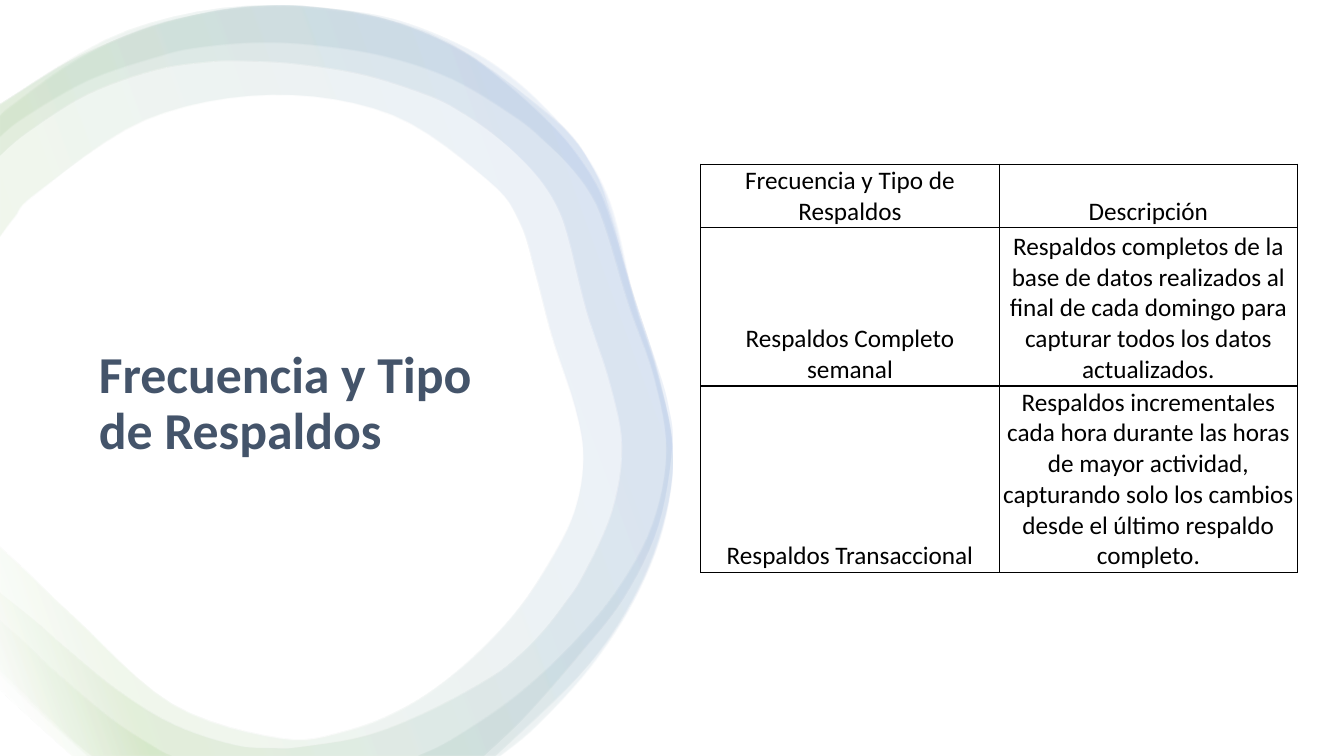
from lxml import etree
from pptx import Presentation
from pptx import util as u
from pptx.dml.color import RGBColor
from pptx.enum import shapes, text
from pptx.oxml import parse_xml
from pptx.oxml.ns import nsdecls, qn

WHITE = RGBColor(0xFF, 0xFF, 0xFF)
BLACK = RGBColor(0, 0, 0)
SLATE = RGBColor(0x44, 0x54, 0x6A)
GREEN = RGBColor(0x70, 0xAD, 0x47)
BLUE = RGBColor(0x44, 0x72, 0xC4)
FONT = "Calibri"
BAND_STOPS = [(2, WHITE), (16, GREEN), (85, BLUE), (100, WHITE)]
BAND_ALPHA = 10

# Each band is a list of contours, each contour a list of smooth edges (inches)
THIN_BAND = [[
    [(0, 1.04), (0.69, 0.61), (1.41, 0.3), (1.99, 0.14), (2.38, 0.08), (2.98, 0.06),
     (3.78, 0.18), (4.53, 0.48), (5.02, 0.83), (5.46, 1.23), (5.72, 1.53), (5.94, 1.88),
     (6.08, 2.25), (6.29, 2.95), (6.52, 3.63), (6.63, 4.02), (6.67, 4.43), (6.53, 5.22),
     (6.19, 5.93), (5.71, 6.54), (5.2, 7.12), (4.8, 7.5)],
    [(0.73, 7.5), (0.67, 7.46), (0.09, 6.93), (0, 6.84)],
    [(0, 5.88), (0.35, 6.16), (0.62, 6.4), (1.17, 6.85), (1.73, 7.19), (2.33, 7.39),
     (2.72, 7.42), (2.97, 7.41), (3.62, 7.3), (4.24, 7.06), (4.85, 6.73), (5.13, 6.52),
     (5.38, 6.27), (5.6, 5.99), (5.79, 5.7), (6.07, 5.08), (6.17, 4.43), (6.05, 3.8),
     (5.82, 3.09), (5.64, 2.37), (5.53, 2.06), (5.36, 1.79), (5.13, 1.54), (4.86, 1.31),
     (4.58, 1.12), (4.27, 0.96), (3.62, 0.75), (2.94, 0.64), (2.41, 0.61), (2.06, 0.62),
     (1.54, 0.7), (0.87, 0.94), (0.27, 1.32), (0, 1.55)],
]]
WIDE_BAND = [[
    [(0, 1.05), (0.05, 1.01), (1.27, 0.31), (2.69, 0.06), (4.23, 0.33), (5.47, 1.17),
     (5.88, 1.68), (6.07, 2.18), (6.24, 2.81), (6.53, 3.74), (6.67, 4.57), (6.52, 5.37),
     (6.19, 6.09), (5.73, 6.71), (4.96, 7.45), (4.89, 7.5)],
    [(0.92, 7.5), (0.68, 7.3), (0.1, 6.74), (0, 6.64)],
    [(0, 5.42), (0.27, 5.67), (0.73, 6.11), (1.71, 6.98), (2.78, 7.32), (3.42, 7.25),
     (4.02, 7.01), (4.56, 6.63), (5.07, 6.12), (5.43, 5.6), (5.69, 5.08), (5.78, 4.55),
     (5.7, 4.05), (5.47, 3.34), (5.31, 2.73), (5.15, 2.21), (4.84, 1.8), (3.89, 1.15),
     (2.69, 0.95), (1.44, 1.2), (0.37, 1.92), (0.15, 2.16), (0, 2.36)],
]]
OUTER_BAND = [
    [[(0, 6.15), (0.27, 6.39), (0.54, 6.65), (1.11, 7.13), (1.57, 7.43), (1.71, 7.5)],
     [(0.89, 7.5), (0.84, 7.47), (0.26, 6.94), (0, 6.68)]],
    [[(0, 1.16), (0.14, 1.04), (0.78, 0.59), (1.51, 0.26), (2.29, 0.09), (2.69, 0.06),
      (3.09, 0.07), (3.89, 0.19), (4.64, 0.49), (5.14, 0.83), (5.56, 1.24), (5.81, 1.55),
      (6, 1.9), (6.12, 2.27), (6.29, 3.01), (6.52, 3.73), (6.67, 4.48), (6.57, 5.24),
      (6.28, 5.96), (5.85, 6.62), (5.32, 7.2), (4.96, 7.5)],
     [(4.14, 7.5), (4.47, 7.34), (5.08, 6.93), (5.63, 6.43), (6.11, 5.86), (6.46, 5.21),
      (6.6, 4.48), (6.48, 3.75), (6.23, 3.03), (6.01, 2.3), (5.87, 1.96), (5.66, 1.67),
      (5.4, 1.41), (5.11, 1.17), (4.48, 0.79), (3.79, 0.56), (3.07, 0.45), (2.51, 0.43),
      (1.96, 0.48), (1.6, 0.56), (0.89, 0.8), (0.25, 1.17), (0, 1.37)]],
]

ROWS = [
    ("Frecuencia y Tipo de Respaldos", "Descripción"),
    ("Respaldos Completo semanal",
     "Respaldos completos de la base de datos realizados al final de cada domingo "
     "para capturar todos los datos actualizados."),
    ("Respaldos Transaccional",
     "Respaldos incrementales cada hora durante las horas de mayor actividad, "
     "capturando solo los cambios desde el último respaldo completo."),
]


def smooth(points, steps=6):
    """Catmull-Rom curve through the points."""
    padded = [points[0], *points, points[-1]]
    curve = [points[0]]
    for a, b, c, d in zip(padded, padded[1:], padded[2:], padded[3:]):
        for t in (i / steps for i in range(1, steps + 1)):
            curve.append(tuple(
                q + t * ((r - p) + t * (2 * p - 5 * q + 4 * r - s
                                        + t * (3 * q - p - 3 * r + s))) / 2
                for p, q, r, s in zip(a, b, c, d)))
    return curve


def write(tf, words, size=18, color=BLACK, bold=False, align=None, spacing=None):
    p = tf.paragraphs[0]
    p.alignment = align
    p.line_spacing = spacing
    r = p.add_run()
    r.text = words
    r.font.name, r.font.size, r.font.bold = FONT, u.Pt(size), bold
    r.font.color.rgb = color


class Deck:
    def __init__(self):
        self.prs = Presentation()
        self.prs.slide_width, self.prs.slide_height = u.Inches(13.33), u.Inches(7.5)
        self.s = self.prs.slides.add_slide(self.prs.slide_layouts[5])

    def rect(self, box, color):
        sp = self.s.shapes.add_shape(shapes.MSO_SHAPE.RECTANGLE, *map(u.Inches, box))
        sp.shadow.inherit = False
        sp.fill.solid()
        sp.fill.fore_color.rgb = color
        sp.line.fill.background()

    def band(self, contours):
        outlines = [[(u.Inches(x), u.Inches(y)) for edge in edges for x, y in smooth(edge)]
                    for edges in contours]
        builder = self.s.shapes.build_freeform(*outlines[0][0])
        for i, outline in enumerate(outlines):
            if i:
                builder.move_to(*outline[0])
            builder.add_line_segments(outline[1:], close=True)
        sp = builder.convert_to_shape()
        sp.shadow.inherit = False
        sp.line.fill.background()
        sp.fill.gradient()
        sp.fill.gradient_angle = 20
        stops = sp._element.spPr.find(qn("a:gradFill")).find(qn("a:gsLst"))
        for old in list(stops):
            stops.remove(old)
        for pos, color in BAND_STOPS:
            gs = etree.SubElement(stops, qn("a:gs"), pos=str(pos * 1000))
            clr = etree.SubElement(gs, qn("a:srgbClr"), val=str(color))
            etree.SubElement(clr, qn("a:alpha"), val=str(BAND_ALPHA * 1000))

    def title(self, box, words, **style):
        sp = self.s.shapes.title
        sp.left, sp.top, sp.width, sp.height = map(u.Inches, box)
        tf = sp.text_frame
        tf.word_wrap = True
        tf.auto_size = text.MSO_AUTO_SIZE.NONE
        tf.vertical_anchor = text.MSO_ANCHOR.TOP
        write(tf, words, **style)
        self.s.shapes._spTree.append(sp._element)  # bring in front of the background

    def table(self, box, rows, heights):
        frame = self.s.shapes.add_table(len(rows), len(rows[0]), *map(u.Inches, box))
        tbl = frame.table
        tbl.first_row = tbl.horz_banding = False
        for row, height, words in zip(tbl.rows, heights, rows):
            row.height = u.Inches(height)
            for cell, word in zip(row.cells, words):
                self.cell(cell, word)

    def cell(self, cell, words):
        cell.fill.background()
        cell.vertical_anchor = text.MSO_ANCHOR.BOTTOM
        cell.margin_left = cell.margin_right = u.Inches(0.01)
        cell.margin_top = cell.margin_bottom = u.Inches(0.01)
        write(cell.text_frame, words, align=text.PP_ALIGN.CENTER)
        for i, side in enumerate("LRTB"):
            cell._tc.get_or_add_tcPr().insert(i, parse_xml(
                f'<a:ln{side} {nsdecls("a")} w="{u.Pt(1)}"><a:solidFill>'
                f'<a:srgbClr val="{BLACK}"/></a:solidFill></a:ln{side}>'))


def main():
    deck = Deck()
    # Background and ring
    deck.rect((0, 0, 13.33, 7.49), WHITE)
    for contours in (THIN_BAND, WIDE_BAND, OUTER_BAND):
        deck.band(contours)
    # Title
    deck.title((0.88, 3.41, 4, 1.95), "Frecuencia y Tipo de Respaldos", size=37,
               color=SLATE, bold=True, align=text.PP_ALIGN.LEFT, spacing=0.9)
    # Backup table
    deck.table((6.95, 1.63, 5.92, 4.01), ROWS, (0.63, 1.57, 1.85))
    deck.prs.save("out.pptx")


if __name__ == "__main__":
    main()
